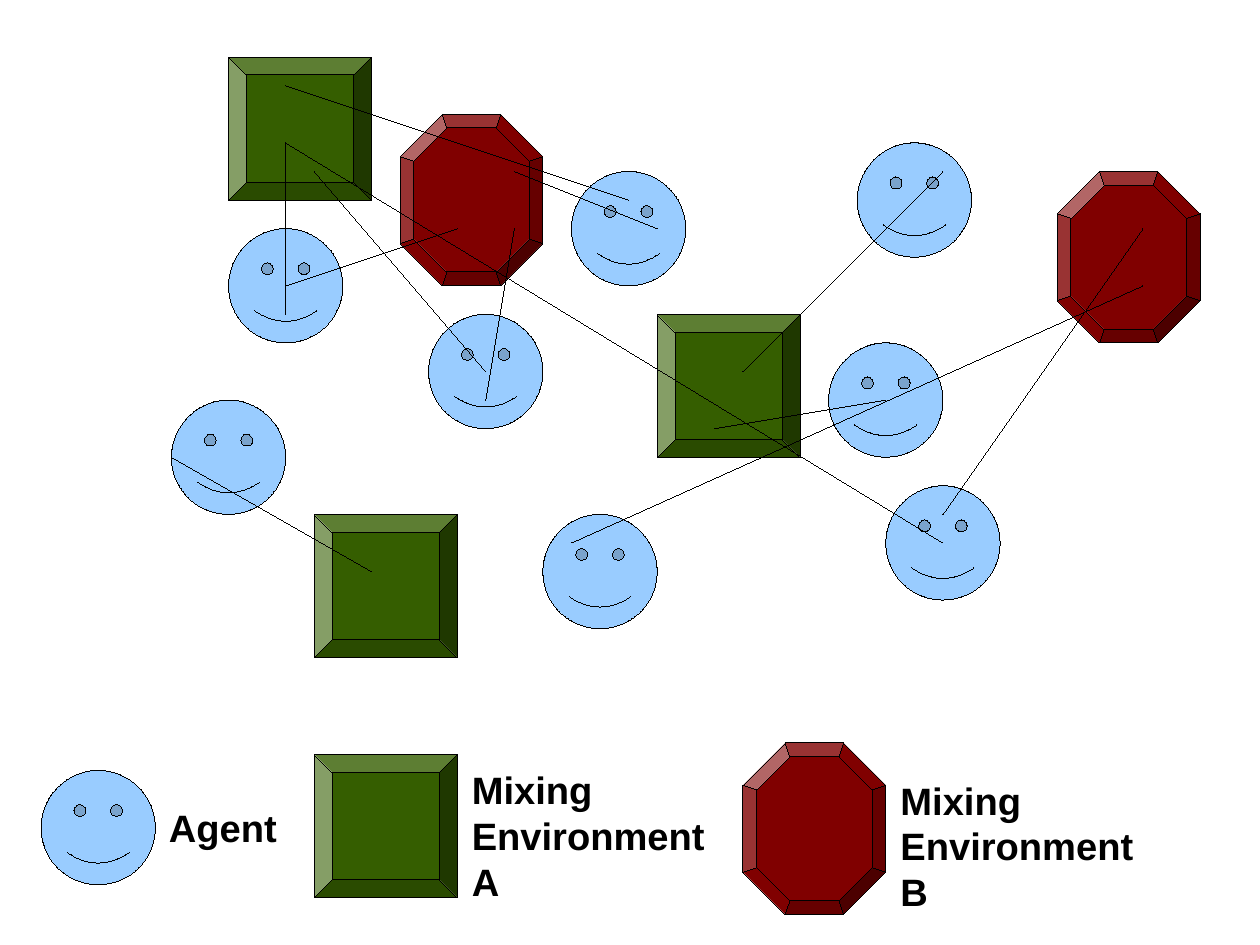
from copy import deepcopy
from pptx import Presentation
from pptx.dml.color import RGBColor
from pptx.enum.shapes import MSO_CONNECTOR as Link, MSO_SHAPE as Kind
from pptx.enum.text import MSO_ANCHOR as Anchor, MSO_AUTO_SIZE as Fit, PP_ALIGN as Align
from pptx.oxml.ns import qn
from pptx.util import Inches, Pt
from lxml.etree import SubElement

# Content: left and top corners; the last of each group is its legend key
AGENTS = [(7.25, 3), (5, 1.5), (4.75, 4.5), (7.5, 1.25), (2, 2),
          (3.75, 2.75), (7.75, 4.25), (1.5, 3.5), (0.36, 6.74)]
ENVS_A = [(2, 0.5), (5.75, 2.75), (2.75, 4.5), (2.75, 6.6)]
ENVS_B = [(9.25, 1.5), (3.5, 1), (6.5, 6.5)]
TIES = [
    ((2.5, 1.25), (2.5, 2.75)), ((2.75, 1.5), (4.25, 3.25)),
    ((2.5, 0.75), (5.5, 1.75)), ((2.5, 1.25), (8.25, 4.75)),
    ((3.25, 5), (1.5, 4)), ((6.5, 3.25), (8.25, 1.5)),
    ((6.25, 3.75), (7.75, 3.5)), ((4, 2), (2.5, 2.5)),
    ((4.5, 2), (4.25, 3.5)), ((4.5, 1.5), (5.75, 2)),
    ((5, 4.75), (10, 2.5)), ((8.25, 4.5), (10, 2)),
]
LABELS = [
    ("Agent", (1.38, 6.99, 1.37, 0.65)),
    ("Mixing Environment A", (4.03, 6.66, 2.47, 1.21)),
    ("Mixing Environment B", (7.78, 6.75, 2.47, 1.21)),
]

THEME = {"ink": "000000", "agent": "99CCFF", "env_a": "355E00",
         "env_b": "800000", "font": "Arial", "size": 24}
# Shade of each rim facet of environment B, clockwise from the top side
RIM = ["lightenLess", "norm", "darkenLess", "darken",
       "darkenLess", "norm", "lightenLess", "lighten"]
WIDE, TALL = 1.25, 1.5
INSET, CUT, IN_CUT = 0.12, 0.37, 0.29
CM = 1 / 2.54


def rgb(name):
    return RGBColor.from_string(THEME[name])


def set_hair(shape):
    """Give the shape the thinnest line, a width of zero."""
    shape.line.color.rgb = rgb("ink")
    shape._element.spPr.find(qn("a:ln")).set("w", "0")


def paint(shape, fill):
    shape.shadow.inherit = False
    shape.fill.solid()
    shape.fill.fore_color.rgb = rgb(fill)
    set_hair(shape)


def add_node(slide, kind, spot, size, fill, adj):
    box = [Inches(v) for v in (*spot, size, size)]
    node = slide.shapes.add_shape(kind, *box)
    node.adjustments[0] = adj
    paint(node, fill)


def ring(left, top, inset, cut):
    """Corners of an octagon, clockwise from the left end of its top side."""
    x0, x1 = left + inset, left + WIDE - inset
    y0, y1 = top + inset, top + TALL - inset
    spots = [(x0 + cut, y0), (x1 - cut, y0), (x1, y0 + cut), (x1, y1 - cut),
             (x1 - cut, y1), (x0 + cut, y1), (x0, y1 - cut), (x0, y0 + cut)]
    return [(Inches(x), Inches(y)) for x, y in spots]


def shade_parts(shape):
    """Split the outline into one part per contour and shade each."""
    whole = shape._element.spPr.find(".//" + qn("a:path"))
    steps = list(whole)
    for step in steps:
        whole.remove(step)
    parts = []
    for step in steps:
        if step.tag == qn("a:moveTo"):
            parts.append(deepcopy(whole))
        parts[-1].append(step)
    for part, shade in zip(parts, ["norm", *RIM]):
        part.set("fill", shade)
    parts[0].set("stroke", "0")
    base = whole.getparent()
    base.remove(whole)
    base.extend(parts)


def add_gem(slide, left, top):
    """Draw a bevelled octagon: a flat face and eight shaded rim facets."""
    outer = ring(left, top, 0, CUT)
    inner = ring(left, top, INSET, IN_CUT)
    pen = slide.shapes.build_freeform(*inner[0])
    pen.add_line_segments(inner[1:], close=True)
    for i in range(len(RIM)):
        j = (i + 1) % len(RIM)
        pen.move_to(*outer[i])
        pen.add_line_segments([outer[j], inner[j], inner[i]], close=True)
    gem = pen.convert_to_shape()
    paint(gem, "env_b")
    shade_parts(gem)


def add_tie(slide, start, end):
    ends = [Inches(v) for v in (*start, *end)]
    tie = slide.shapes.add_connector(Link.STRAIGHT, *ends)
    set_hair(tie)
    SubElement(tie._element.spPr, qn("a:effectLst"))


def add_text(slide, text, box, *, size=THEME["size"], bold=True, color="ink"):
    frame = slide.shapes.add_textbox(*[Inches(v) for v in box]).text_frame
    frame.word_wrap = True
    frame.auto_size = Fit.SHAPE_TO_FIT_TEXT
    frame.vertical_anchor = Anchor.TOP
    para = frame.paragraphs[0]
    para.alignment = Align.LEFT
    run = para.add_run()
    run.text = text
    run.font.name, run.font.size = THEME["font"], Pt(size)
    run.font.bold, run.font.color.rgb = bold, rgb(color)


def main():
    deck = Presentation()
    deck.slide_width = Inches(28 * CM)
    deck.slide_height = Inches(21 * CM)
    slide = deck.slides.add_slide(deck.slide_layouts[6])
    for spot in AGENTS:
        add_node(slide, Kind.SMILEY_FACE, spot, 1, "agent", 0.047)
    for spot in ENVS_A:
        add_node(slide, Kind.BEVEL, spot, 1.25, "env_a", 0.125)
    for spot in ENVS_B:
        add_gem(slide, *spot)
    for start, end in TIES:
        add_tie(slide, start, end)
    for text, box in LABELS:
        add_text(slide, text, box)
    deck.save("out.pptx")


if __name__ == "__main__":
    main()
